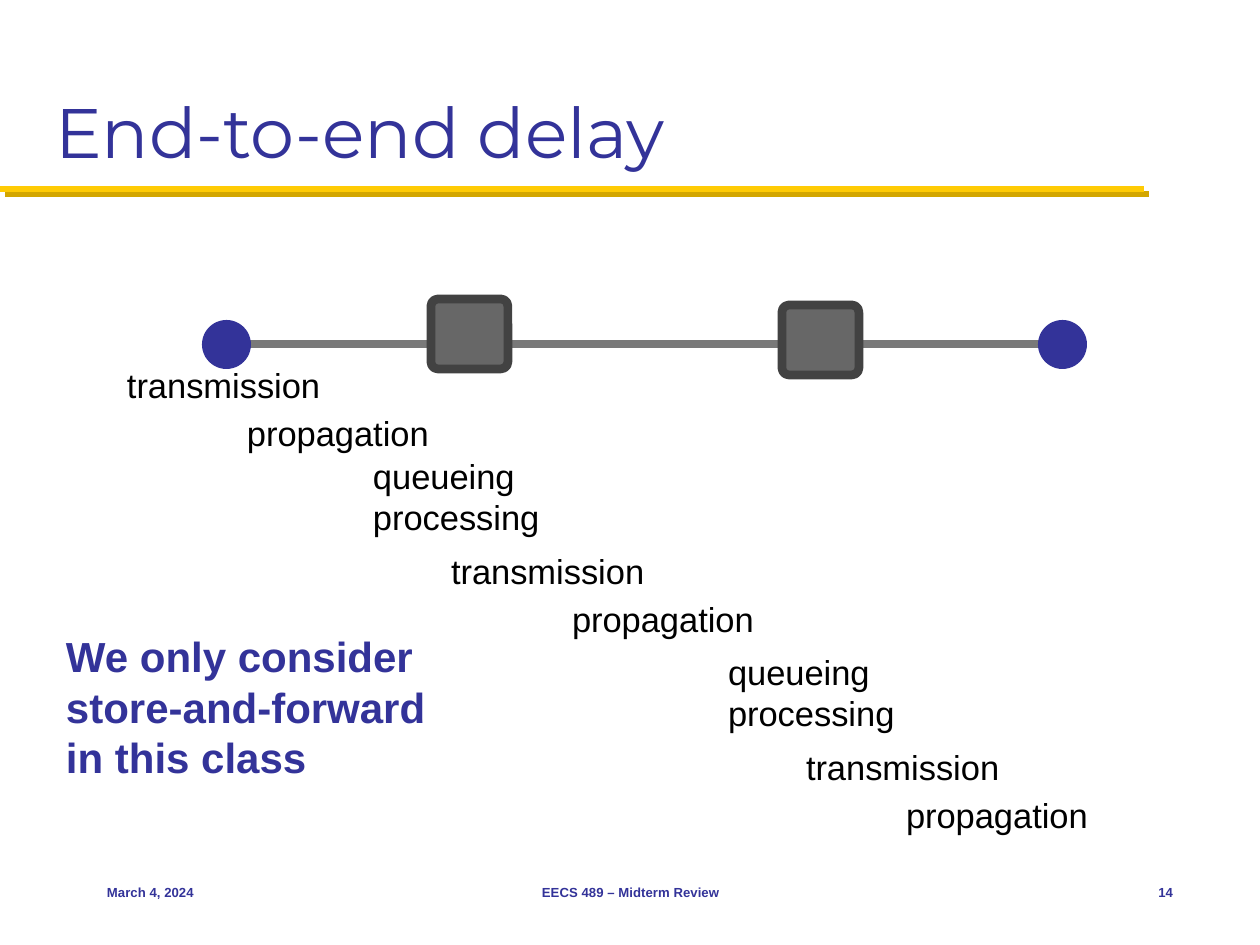
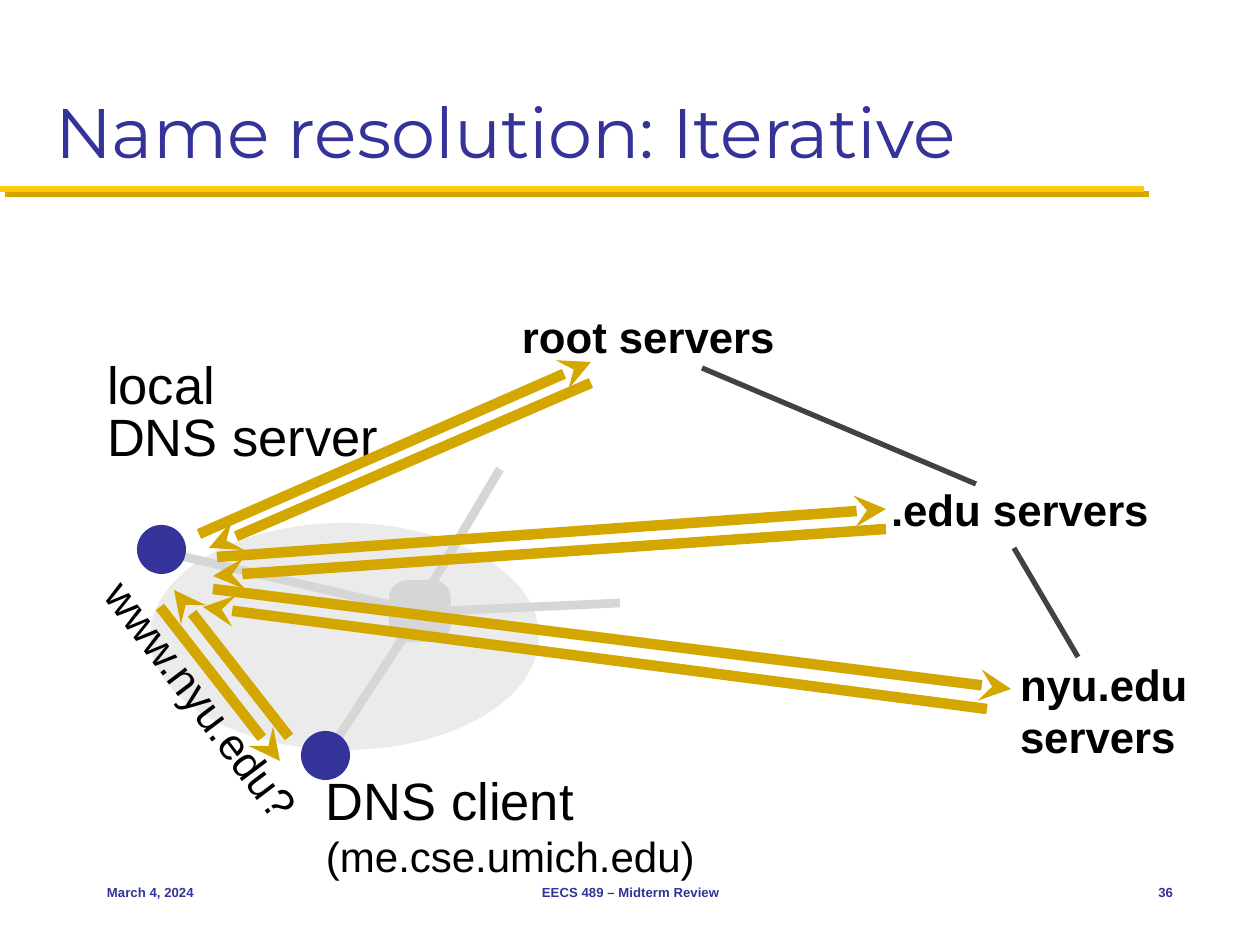
"""Build two review slides: end-to-end delay and iterative name resolution."""
import pptx
import pptx.dml.color
import pptx.enum.shapes
import pptx.enum.text
import pptx.oxml
import pptx.oxml.ns
import pptx.util

RGB = pptx.dml.color.RGBColor
SHAPE = pptx.enum.shapes.MSO_SHAPE
ALIGN = pptx.enum.text.PP_ALIGN
ANCHOR = pptx.enum.text.MSO_ANCHOR

INDIGO = RGB(0x33, 0x33, 0x99)
YELLOW = RGB(0xFF, 0xCB, 0x05)
GOLD = RGB(0xD3, 0xA6, 0x00)
BLACK = RGB(0x00, 0x00, 0x00)
LINK_GREY = RGB(0x79, 0x79, 0x79)
ROUTER_GREY = RGB(0x67, 0x67, 0x67)
DARK_GREY = RGB(0x42, 0x42, 0x42)
CLOUD_GREY = RGB(0xEB, 0xEB, 0xEB)
PALE_GREY = RGB(0xD6, 0xD6, 0xD6)

EMU_PER_PX = 914400 / 126
NODE = 49

TITLE = {"name": "Montserrat", "size": 40}
FOOTER = {"name": "Arial", "size": 7.5, "bold": True}
DELAY = {"name": "Arial", "size": 19.7}
REMARK = {"name": "Arial", "size": 24, "bold": True}
HOST = {"name": "Arial", "size": 30}
ADDRESS = {"name": "Arial", "size": 24}
SERVER = {"name": "Arial", "size": 25, "bold": True}
QUERY = {"name": "Arial", "size": 25}

DATE = "March 4, 2024"
COURSE = "EECS 489 – Midterm Review"
WIDE_INSET = (13, 6)
THIN_INSET = (5, 5)

END_NODES = [(202, 320), (1038, 320)]
ROUTERS = [(431, 299), (782, 305)]
HOPS = [(44, 264, 198), (368, 450, 199), (723, 646, 178)]
CONSIDERED = "We only consider store-and-forward in this class"

NETWORK_LINKS = [
    (159, 551, 413, 610), (418, 615, 330, 750),
    (500, 469, 420, 604), (620, 603, 421, 612),
]
HOSTS = [(301, 731), (137, 525)]
HOST_LABELS = [
    ((321, 762, 519, 125), [("DNS client", HOST), ("(me.cse.umich.edu)", ADDRESS)]),
    ((102, 399, 358, 73), [("DNS server", HOST)]),
    ((102, 347, 121, 73), [("local", HOST)]),
]
SERVER_LABELS = [
    ((517, 305, 290, 63), "root servers"),
    ((886, 478, 333, 63), ".edu servers"),
    ((1015, 652, 233, 116), "nyu.edu servers"),
]
HIERARCHY = [(702, 368, 976, 484), (1014, 548, 1078, 657)]
MESSAGES = [
    (289, 737, 174, 590), (199, 534, 591, 362),
    (217, 557, 886, 509), (591, 383, 209, 548),
    (886, 529, 213, 576), (213, 589, 1011, 689),
    (987, 709, 203, 607), (160, 607, 280, 761),
]


def px(*lengths):
    return [pptx.util.Emu(round(length * EMU_PER_PX)) for length in lengths]


def write(slide, box, lines, color=BLACK, inset=THIN_INSET,
          anchor=ANCHOR.MIDDLE, **paragraph_format):
    label = slide.shapes.add_textbox(*px(*box))
    frame = label.text_frame
    side, edge = px(*inset)
    frame_format = {
        "word_wrap": True, "vertical_anchor": anchor,
        "margin_left": side, "margin_right": side,
        "margin_top": edge, "margin_bottom": edge,
    }
    for key, value in frame_format.items():
        setattr(frame, key, value)
    for index, (words, font_format) in enumerate(lines):
        paragraph = frame.add_paragraph() if index else frame.paragraphs[0]
        for key, value in paragraph_format.items():
            setattr(paragraph, key, value)
        run = paragraph.add_run()
        run.text = words
        for key, value in font_format.items():
            setattr(run.font, key, pptx.util.Pt(value) if key == "size" else value)
        run.font.color.rgb = color
    return label


def draw(slide, preset, box, fill, border=None, corner=None):
    figure = slide.shapes.add_shape(preset, *px(*box))
    figure.shadow.inherit = False
    figure.fill.solid()
    figure.fill.fore_color.rgb = fill
    if border is None:
        figure.line.fill.background()
    else:
        figure.line.color.rgb = border
        figure.line.width = pptx.util.Pt(5)
    if corner is not None:
        figure.adjustments[0] = corner


def node(slide, corner):
    draw(slide, SHAPE.OVAL, (*corner, NODE, NODE), INDIGO)


def connect(slide, ends, color, width, arrow=False, shade=""):
    link = slide.shapes.add_connector(
        pptx.enum.shapes.MSO_CONNECTOR.STRAIGHT, *px(*ends))
    link.line.color.rgb = color
    link.line.width = pptx.util.Pt(width)
    if arrow:
        stroke = link.line._get_or_add_ln()
        tip = pptx.oxml.parse_xml(
            f'<a:tailEnd {pptx.oxml.ns.nsdecls("a")} type="stealth"/>')
        stroke.append(tip)
    effects = pptx.oxml.parse_xml(
        f'<a:effectLst {pptx.oxml.ns.nsdecls("a")}>{shade}</a:effectLst>')
    link._element.spPr.append(effects)


def start_slide(deck, title, number):
    slide = deck.slides.add_slide(deck.slide_layouts[6])
    shade = ('<a:outerShdw dist="53340" dir="2700000" algn="ctr" rotWithShape="0">'
             f'<a:srgbClr val="{GOLD}"/></a:outerShdw>')
    connect(slide, (0, 189, 1144, 189), YELLOW, 3.5, shade=shade)
    write(slide, (42, 21, 1176, 158), [(title, TITLE)], INDIGO, WIDE_INSET,
          ANCHOR.BOTTOM)
    footers = [
        (94, 262, DATE, ALIGN.LEFT),
        (431, 399, COURSE, ALIGN.CENTER),
        (1102, 84, str(number), ALIGN.RIGHT),
    ]
    for left, width, words, alignment in footers:
        write(slide, (left, 861, width, 63), [(words, FOOTER)], INDIGO,
              WIDE_INSET, alignment=alignment)
    return slide


def build_delay(deck):
    slide = start_slide(deck, "End-to-end delay", 14)
    connect(slide, (233, 344, 1052, 344), LINK_GREY, 5)
    for corner in END_NODES:
        node(slide, corner)
    for corner in ROUTERS:
        draw(slide, SHAPE.ROUNDED_RECTANGLE, (*corner, 77, 70), ROUTER_GREY,
             DARK_GREY, 0.1)
    for hop, (left, top, reach) in enumerate(HOPS):
        delays = [("transmission", 78, 95), ("propagation", reach, 143)]
        if hop:
            delays = [("queueing", 0, 0), ("processing", 0, 41)] + delays
        for delay, right, down in delays:
            write(slide, (left + right, top + down, 210, 52), [(delay, DELAY)])
    write(slide, (53, 625, 420, 165), [(CONSIDERED, REMARK)], INDIGO,
          WIDE_INSET, ANCHOR.TOP)


def build_resolution(deck):
    slide = start_slide(deck, "Name resolution: Iterative", 36)
    draw(slide, SHAPE.OVAL, (150, 523, 389, 227), CLOUD_GREY)
    for ends in NETWORK_LINKS:
        connect(slide, ends, PALE_GREY, 5)
    draw(slide, SHAPE.ROUNDED_RECTANGLE, (389, 580, 62, 62), PALE_GREY, corner=0.3)
    for corner in HOSTS:
        node(slide, corner)
    for box, lines in HOST_LABELS:
        write(slide, box, lines)
    for box, words in SERVER_LABELS:
        write(slide, box, [(words, SERVER)])
    for ends in HIERARCHY:
        connect(slide, ends, DARK_GREY, 3)
    query = write(slide, (49, 679, 304, 54), [("www.nyu.edu?", QUERY)],
                  line_spacing=0.8)
    query.rotation = 53
    for ends in MESSAGES:
        connect(slide, ends, GOLD, 6, arrow=True)


def main():
    deck = pptx.Presentation()
    deck.slide_width, deck.slide_height = px(1260, 945)
    build_delay(deck)
    build_resolution(deck)
    deck.save("out.pptx")


if __name__ == "__main__":
    main()
